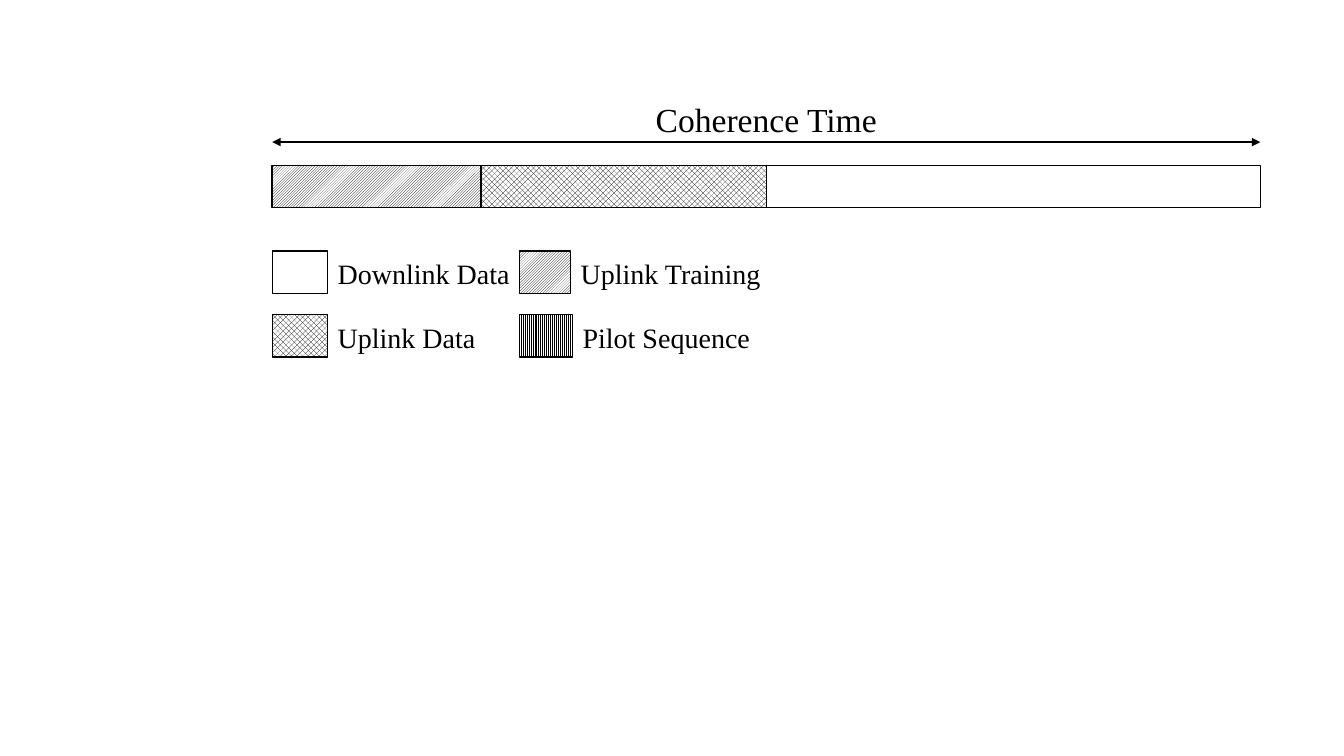
from dataclasses import dataclass
from typing import Optional

from lxml import etree
from pptx import Presentation
from pptx.dml.color import RGBColor
from pptx.enum.dml import MSO_PATTERN
from pptx.enum.shapes import MSO_CONNECTOR, MSO_SHAPE
from pptx.enum.text import MSO_AUTO_SIZE, PP_ALIGN
from pptx.oxml.ns import qn
from pptx.slide import Slide
from pptx.util import Inches, Pt

RECTANGLE = MSO_SHAPE.RECTANGLE
STRAIGHT = MSO_CONNECTOR.STRAIGHT
FIT_SHAPE = MSO_AUTO_SIZE.SHAPE_TO_FIT_TEXT
LEFT, CENTER = PP_ALIGN.LEFT, PP_ALIGN.CENTER
TRAINING = MSO_PATTERN.from_xml("ltUpDiag")
UPLINK = MSO_PATTERN.from_xml("openDmnd")
PILOT = MSO_PATTERN.from_xml("ltVert")
BLANK_LAYOUT = 6


@dataclass(frozen=True)
class Theme:
    """Colours, font and sizes of the slide."""

    ink: RGBColor = RGBColor(0, 0, 0)
    paper: RGBColor = RGBColor(255, 255, 255)
    font: str = "Times New Roman"
    heading_size: int = 24
    legend_size: int = 20
    outline: float = 1
    arrow: float = 1.5


@dataclass(frozen=True)
class Phase:
    """One stretch of the coherence time."""

    width: float
    pattern: Optional[MSO_PATTERN]


@dataclass(frozen=True)
class LegendEntry:
    """A swatch and its label, placed in a legend cell."""

    label: str
    column: int
    row: int
    swatch_width: float
    pattern: Optional[MSO_PATTERN]


THEME = Theme()
BAR_LEFT, BAR_TOP, BAR_HEIGHT = 2.7, 1.64, 0.42
BAR_WIDTH = 9.8
ARROW_TOP = 1.41
LEGEND_TOP, ROW_STEP, COLUMN_STEP = 2.49, 0.63, 2.45
LABEL_WIDTH, LABEL_HEIGHT = 2.3, 0.44

PHASES = [Phase(2.07, TRAINING), Phase(2.83, UPLINK), Phase(4.9, None)]
LEGEND = [
    LegendEntry("Downlink Data", 0, 0, 0.55, None),
    LegendEntry("Uplink Training", 1, 0, 0.51, TRAINING),
    LegendEntry("Uplink Data", 0, 1, 0.55, UPLINK),
    LegendEntry("Pilot Sequence", 1, 1, 0.53, PILOT),
]


def add_block(page: Slide, left: float, top: float, width: float,
              pattern: Optional[MSO_PATTERN]) -> None:
    """Draw an outlined rectangle, hatched when a pattern is given."""
    block = page.shapes.add_shape(
        RECTANGLE, Inches(left), Inches(top), Inches(width), Inches(BAR_HEIGHT))
    block.shadow.inherit = False
    block.line.color.rgb = THEME.ink
    block.line.width = Pt(THEME.outline)
    if pattern is None:
        block.fill.background()
    else:
        block.fill.patterned()
        block.fill.pattern = pattern
        block.fill.fore_color.rgb = THEME.ink
        block.fill.back_color.rgb = THEME.paper


def add_label(page: Slide, text: str, left: float, top: float, width: float,
              height: float, size: int, align: PP_ALIGN = LEFT) -> None:
    """Write one line of text."""
    box = page.shapes.add_textbox(
        Inches(left), Inches(top), Inches(width), Inches(height))
    frame = box.text_frame
    frame.word_wrap = True
    frame.auto_size = FIT_SHAPE
    frame.text = text
    paragraph = frame.paragraphs[0]
    paragraph.alignment = align
    font = paragraph.runs[0].font
    font.name = THEME.font
    font.size = Pt(size)
    font.color.rgb = THEME.ink


def add_span_arrow(page: Slide, left: float, right: float, top: float) -> None:
    """Draw a horizontal arrow with a head at both ends."""
    arrow = page.shapes.add_connector(
        STRAIGHT, Inches(left), Inches(top), Inches(right), Inches(top))
    arrow.line.color.rgb = THEME.ink
    arrow.line.width = Pt(THEME.arrow)
    properties = arrow.element.spPr
    outline = properties.find(qn("a:ln"))
    for end in ("a:headEnd", "a:tailEnd"):
        etree.SubElement(outline, qn(end), type="triangle")
    etree.SubElement(properties, qn("a:effectLst"))


def add_timeline(page: Slide) -> None:
    """Draw the phases side by side under the labelled span arrow."""
    left = BAR_LEFT
    for phase in PHASES:
        add_block(page, left, BAR_TOP, phase.width, phase.pattern)
        left += phase.width
    add_span_arrow(page, BAR_LEFT, BAR_LEFT + BAR_WIDTH, ARROW_TOP)
    add_label(page, "Coherence Time", BAR_LEFT, 0.93, BAR_WIDTH, 0.5,
              THEME.heading_size, CENTER)


def add_legend(page: Slide) -> None:
    """Draw the legend entries on their grid."""
    for entry in LEGEND:
        left = BAR_LEFT + entry.column * COLUMN_STEP
        top = LEGEND_TOP + entry.row * ROW_STEP
        add_block(page, left, top, entry.swatch_width, entry.pattern)
        add_label(page, entry.label, left + entry.swatch_width, top + 0.01,
                  LABEL_WIDTH, LABEL_HEIGHT, THEME.legend_size)


def main() -> None:
    """Build and save the slide."""
    deck = Presentation()
    deck.slide_width, deck.slide_height = Inches(13.33), Inches(7.5)
    page = deck.slides.add_slide(deck.slide_layouts[BLANK_LAYOUT])
    add_timeline(page)
    add_legend(page)
    deck.save("out.pptx")


main()
